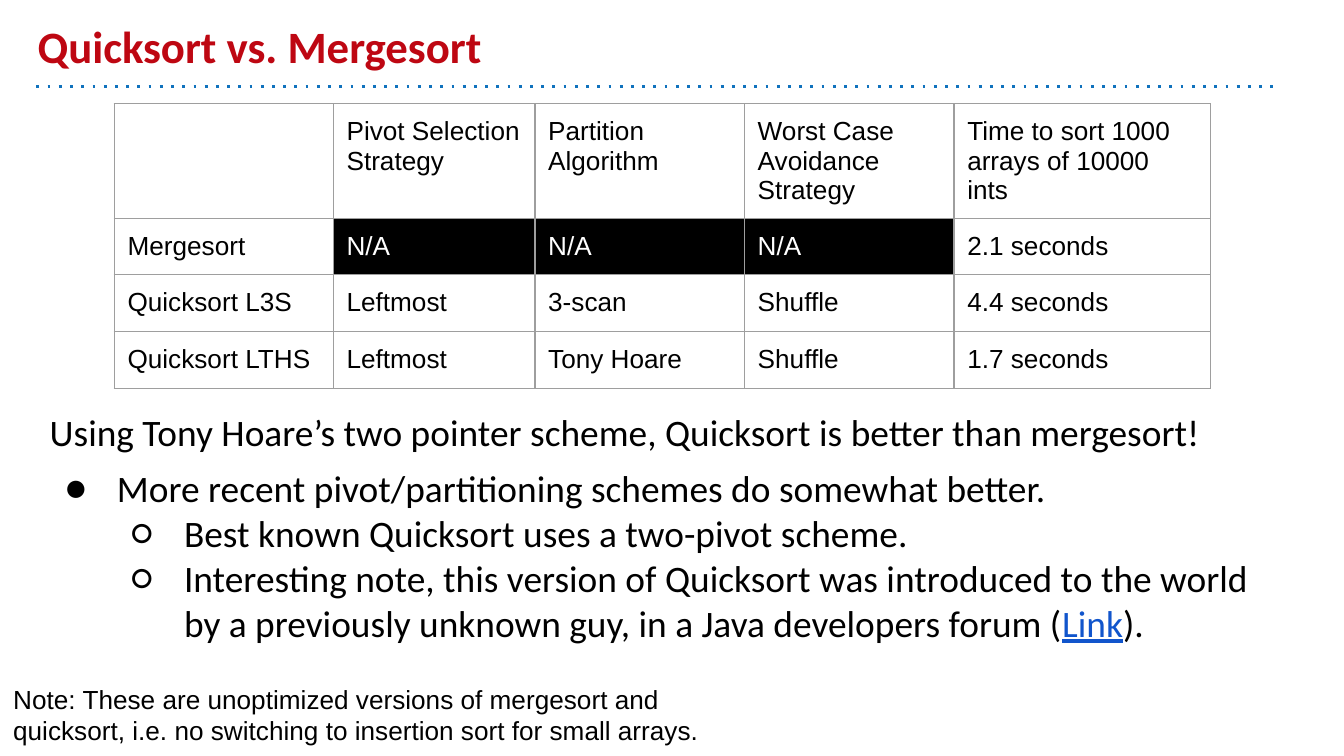
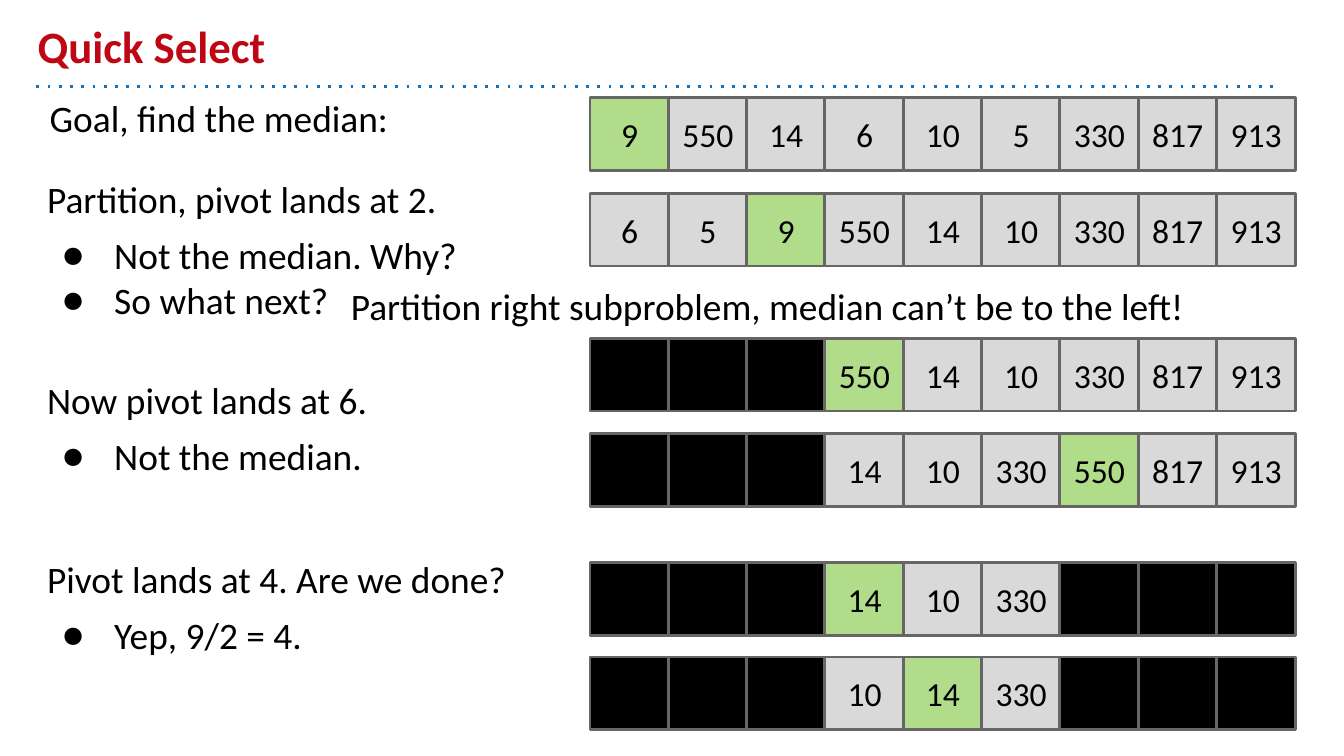
from dataclasses import dataclass

from lxml.etree import SubElement
from pptx import Presentation
from pptx.dml.color import RGBColor
from pptx.enum.dml import MSO_LINE
from pptx.enum.shapes import MSO_CONNECTOR, MSO_SHAPE
from pptx.enum.text import MSO_ANCHOR as Anchor, MSO_AUTO_SIZE, PP_ALIGN as Align
from pptx.oxml.ns import qn
from pptx.util import Cm, Pt


@dataclass(frozen=True)
class Theme:
    heading_font: str = "Calibri"
    plain_font: str = "Arial"
    title_size: int = 24
    body_size: int = 20
    cell_size: int = 18
    small_size: int = 14
    title_color: str = "BE0712"
    rule_color: str = "1072BD"
    text_color: str = "000000"
    inverse_color: str = "FFFFFF"
    link_color: str = "1155CC"
    blocked_fill: str = "000000"
    value_fill: str = "D9D9D9"
    pivot_fill: str = "B1DD8B"
    cell_line: str = "666666"
    table_line: str = "9E9E9E"
    inset: float = 0.25
    bullet_step: float = 1.27
    bullet_hang: float = 0.99


@dataclass(frozen=True)
class Item:
    text: str
    level: int = 0
    space: int = 6
    linked_word: str = ""


def rgb(color):
    return RGBColor.from_string(color)


class Deck:
    def __init__(self, theme):
        self.theme = theme
        self.presentation = Presentation()
        self.presentation.slide_width = Cm(25.4)
        self.presentation.slide_height = Cm(14.29)
        self.slide = None

    def start_slide(self, title):
        theme = self.theme
        self.slide = self.presentation.slides.add_slide(self.presentation.slide_layouts[5])
        shape = self.slide.shapes.title
        shape.left, shape.top, shape.width, shape.height = Cm(0.46), Cm(0.25), Cm(22.86), Cm(1.37)
        self.set_frame(shape.text_frame, Anchor.BOTTOM)
        shape.text_frame.text = title
        paragraph = shape.text_frame.paragraphs[0]
        paragraph.alignment = Align.LEFT
        self.set_font(paragraph, theme.title_size, theme.title_color, bold=True)
        self.add_rule()

    def add_rule(self):
        rule = self.slide.shapes.add_connector(
            MSO_CONNECTOR.STRAIGHT, Cm(0.69), Cm(1.63), Cm(24.13), Cm(1.63))
        rule.line.color.rgb = rgb(self.theme.rule_color)
        rule.line.width = Pt(1.5)
        rule.line.dash_style = MSO_LINE.ROUND_DOT
        properties = rule._element.spPr
        properties.find(".//" + qn("a:prstDash")).set("val", "dot")
        SubElement(properties, qn("a:effectLst"))

    def set_frame(self, frame, anchor, wrap=True):
        inset = Cm(self.theme.inset)
        frame.margin_left = frame.margin_right = inset
        frame.margin_top = frame.margin_bottom = inset
        frame.auto_size = MSO_AUTO_SIZE.NONE
        frame.word_wrap = wrap
        frame.vertical_anchor = anchor

    def set_font(self, paragraph, size, color, name=None, bold=False):
        for run in paragraph.runs:
            run.font.name = name or self.theme.heading_font
            run.font.size = Pt(size)
            run.font.bold = bold
            run.font.color.rgb = rgb(color)

    def set_bullet(self, paragraph, level):
        theme = self.theme
        paragraph.level = level - 1
        properties = paragraph._p.get_or_add_pPr()
        properties.set("marL", str(Cm(theme.bullet_step * level)))
        properties.set("indent", str(-Cm(theme.bullet_hang)))
        color = SubElement(properties, qn("a:buClr"))
        SubElement(color, qn("a:srgbClr"), val=theme.text_color)
        SubElement(properties, qn("a:buFont"), typeface=theme.heading_font)
        SubElement(properties, qn("a:buChar"), char="●○"[level - 1])

    def add_text(self, box, items, anchor=Anchor.TOP, size=None, font=None):
        theme = self.theme
        shape = self.slide.shapes.add_textbox(*map(Cm, box))
        frame = shape.text_frame
        self.set_frame(frame, anchor)
        for index, item in enumerate(items):
            paragraph = frame.add_paragraph() if index else frame.paragraphs[0]
            word = item.linked_word
            for part in item.text.partition(word) if word else [item.text]:
                paragraph.add_run().text = part
            paragraph.space_before = Pt(item.space)
            self.set_font(paragraph, size or theme.body_size, theme.text_color, font)
            if word:
                link = paragraph.runs[1].font
                link.underline = True
                link.color.rgb = rgb(theme.link_color)
            if item.level:
                self.set_bullet(paragraph, item.level)

    def add_table(self, left, top, widths, row_height, rows):
        theme = self.theme
        frame = self.slide.shapes.add_table(
            len(rows), len(widths), Cm(left), Cm(top), Cm(sum(widths)), Cm(row_height * len(rows)))
        table = frame.table
        table.first_row = table.horz_banding = False
        for column, width in zip(table.columns, widths):
            column.width = Cm(width)
        for table_row, values in zip(table.rows, rows):
            table_row.height = Cm(row_height)
            for cell, value in zip(table_row.cells, values):
                self.fill_cell(cell, value, blocked=value == "N/A")

    def fill_cell(self, cell, value, blocked):
        theme = self.theme
        cell.text_frame.text = value
        inset = Cm(theme.inset)
        cell.margin_left = cell.margin_right = cell.margin_top = cell.margin_bottom = inset
        for paragraph in cell.text_frame.paragraphs:
            color = theme.inverse_color if blocked else theme.text_color
            self.set_font(paragraph, theme.small_size, color, theme.plain_font)
        properties = cell._tc.get_or_add_tcPr()
        for side in ("lnL", "lnR", "lnT", "lnB"):
            line = SubElement(properties, qn(f"a:{side}"), w=str(Pt(0.75)))
            fill = SubElement(line, qn("a:solidFill"))
            SubElement(fill, qn("a:srgbClr"), val=theme.table_line)
        if blocked:
            cell.fill.solid()
            cell.fill.fore_color.rgb = rgb(theme.blocked_fill)
        else:
            cell.fill.background()

    def add_array(self, top, values, pivot, left=11.15, pitch=1.48, width=1.5, height=1.37):
        theme = self.theme
        group = self.slide.shapes.add_group_shape()
        for index, value in enumerate(values):
            shape = group.shapes.add_shape(
                MSO_SHAPE.RECTANGLE, Cm(left + index * pitch), Cm(top), Cm(width), Cm(height))
            shape.shadow.inherit = False
            shape.line.color.rgb = rgb(theme.cell_line)
            shape.line.width = Pt(1.5)
            shape.fill.solid()
            if value is None:
                shape.fill.fore_color.rgb = rgb(theme.blocked_fill)
                continue
            fill = theme.pivot_fill if index == pivot else theme.value_fill
            shape.fill.fore_color.rgb = rgb(fill)
            self.set_frame(shape.text_frame, Anchor.MIDDLE, wrap=False)
            shape.text_frame.text = str(value)
            paragraph = shape.text_frame.paragraphs[0]
            paragraph.alignment = Align.CENTER
            self.set_font(paragraph, theme.cell_size, theme.text_color)


def build_comparison(deck):
    deck.start_slide("Quicksort vs. Mergesort")
    deck.add_text((0.69, 7.49, 23.44, 5.61), [
        Item("Using Tony Hoare’s two pointer scheme, Quicksort is better than mergesort!"),
        Item("More recent pivot/partitioning schemes do somewhat better.", 1),
        Item("Best known Quicksort uses a two-pivot scheme.", 2, 0),
        Item("Interesting note, this version of Quicksort was introduced to the world "
             "by a previously unknown guy, in a Java developers forum (Link).", 2, 0, "Link"),
    ])
    deck.add_table(2.16, 1.96, [4.14, 3.81, 3.96, 3.96, 4.85], 1.07, [
        ["", "Pivot Selection Strategy", "Partition\nAlgorithm",
         "Worst Case Avoidance Strategy", "Time to sort 1000 arrays of 10000 ints"],
        ["Mergesort", "N/A", "N/A", "N/A", "2.1 seconds"],
        ["Quicksort L3S", "Leftmost", "3-scan", "Shuffle", "4.4 seconds"],
        ["Quicksort LTHS", "Leftmost", "Tony Hoare", "Shuffle", "1.7 seconds"],
    ])
    deck.add_text((0, 12.67, 13.84, 1.63), [
        Item("Note: These are unoptimized versions of mergesort and quicksort, "
             "i.e. no switching to insertion sort for small arrays.", space=0),
    ], size=deck.theme.small_size, font=deck.theme.plain_font)


def build_quick_select(deck):
    deck.start_slide("Quick Select")
    deck.add_text((0.69, 1.55, 23.44, 1.68), [Item("Goal, find the median:")])
    steps = [
        [Item("Partition, pivot lands at 2."), Item("Not the median. Why?", 1),
         Item("So what next?", 1, 0)],
        [Item("Now pivot lands at 6."), Item("Not the median.", 1)],
        [Item("Pivot lands at 4. Are we done?"), Item("Yep, 9/2 = 4.", 1)],
    ]
    for index, items in enumerate(steps):
        deck.add_text((0.64, 3.18 + index * 3.38, 12.32, 3.05), items, Anchor.MIDDLE)
    deck.add_text((6.38, 5.11, 18.47, 1.22), [
        Item("Partition right subproblem, median can’t be to the left!", space=0)])
    blocked = [None] * 3
    arrays = [
        (1.85, [9, 550, 14, 6, 10, 5, 330, 817, 913], 0),
        (3.66, [6, 5, 9, 550, 14, 10, 330, 817, 913], 2),
        (6.4, blocked + [550, 14, 10, 330, 817, 913], 3),
        (8.2, blocked + [14, 10, 330, 550, 817, 913], 6),
        (10.64, blocked + [14, 10, 330] + blocked, 3),
        (12.42, blocked + [10, 14, 330] + blocked, 4),
    ]
    for top, values, pivot in arrays:
        deck.add_array(top, values, pivot)


def main():
    deck = Deck(Theme())
    build_comparison(deck)
    build_quick_select(deck)
    deck.presentation.save("out.pptx")


if __name__ == "__main__":
    main()
